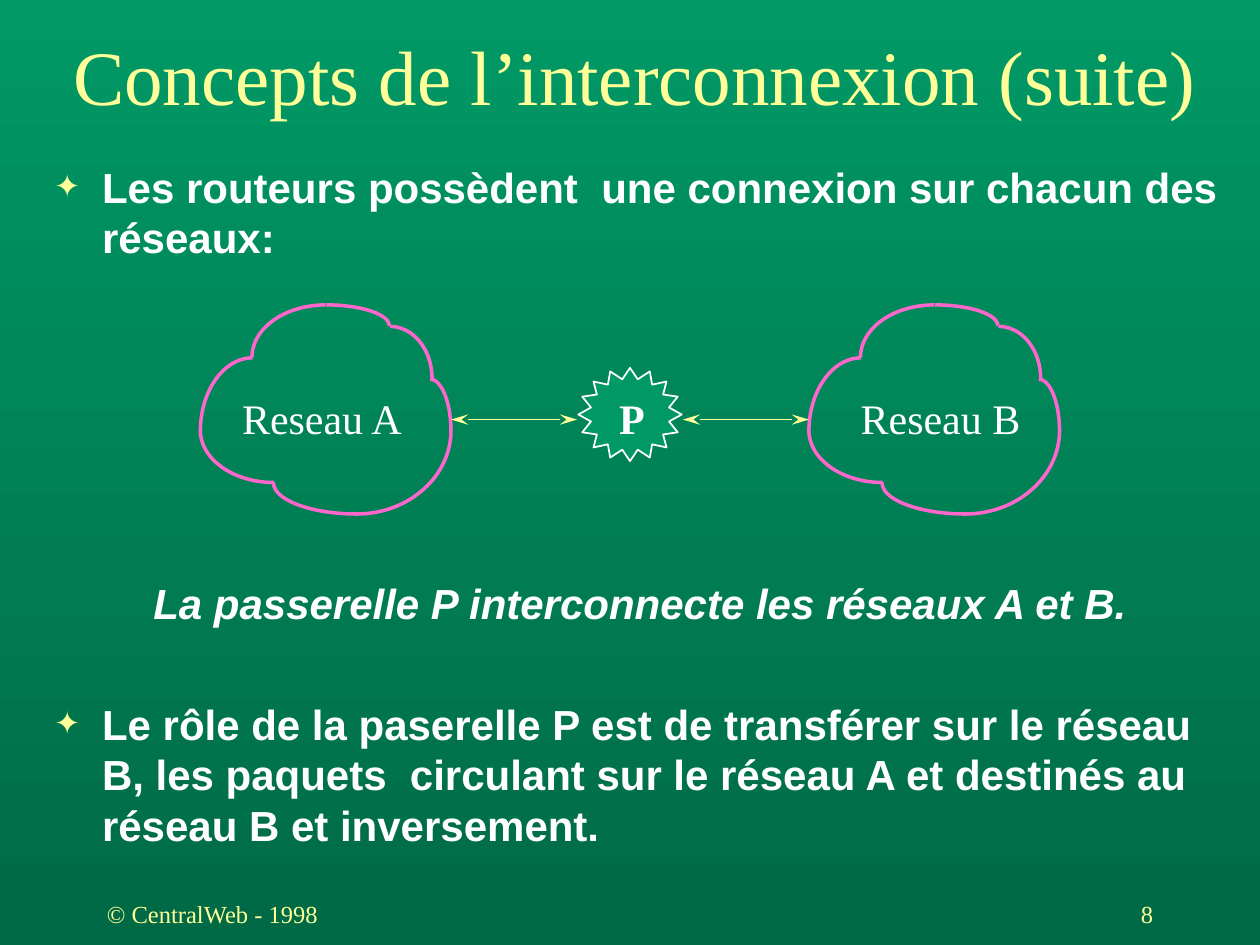
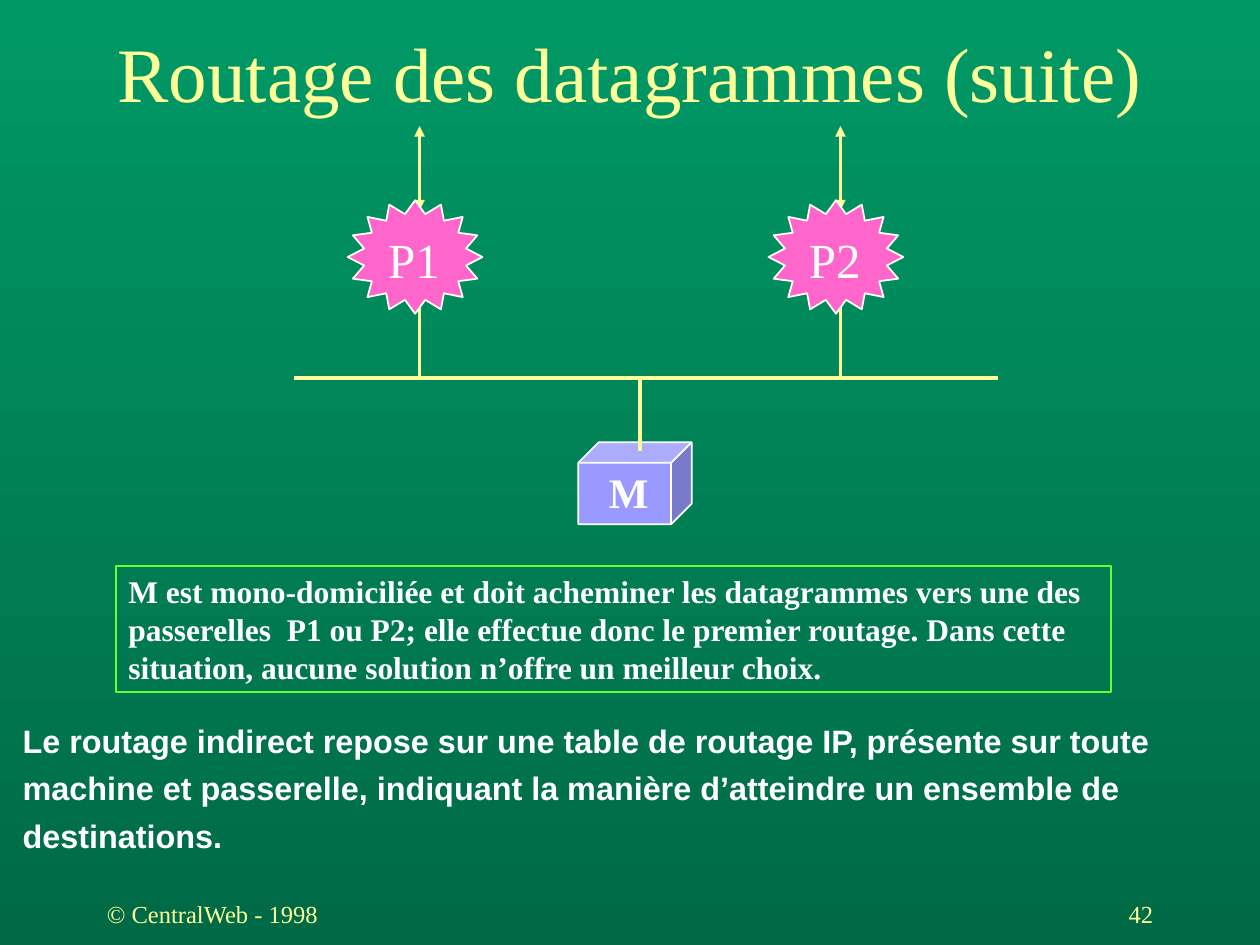
from lxml.etree import SubElement
from pptx import Presentation
from pptx.dml.color import RGBColor
from pptx.enum.shapes import MSO_CONNECTOR, MSO_SHAPE
from pptx.enum.text import MSO_ANCHOR, MSO_AUTO_SIZE, PP_ALIGN
from pptx.oxml.ns import qn
from pptx.util import Inches, Pt

COLORS = {
    "top": "009966",
    "bottom": "006A46",
    "yellow": "FFFF99",
    "white": "FFFFFF",
    "pink": "FF66CC",
    "lilac": "9999FF",
    "lime": "66FF33",
}
SERIF = "Times New Roman"
SANS = "Arial"
LINE_HEIGHT = 1.2
FOOTER = "© CentralWeb - 1998"

# Quarter ellipses of a cloud, relative to its left top corner:
# left, top, width and height of the ellipse, start angle in degrees.
CLOUD_ARCS = [
    (0.5, 0, 1, 0.33, 270),
    (1.17, 0.17, 0.67, 0.83, 270),
    (1.66, 0.59, 0.33, 0.83, 270),
    (0.41, 0, 1.17, 0.83, 180),
    (0, 0.42, 0.83, 1.17, 180),
    (0, 0.58, 1.17, 0.83, 90),
    (0.58, 1.16, 1.33, 0.5, 90),
    (0.49, 0.33, 1.5, 1.33, 0),
]
ADJUSTMENT_PER_DEGREE = 0.6


def color(name):
    return RGBColor.from_string(COLORS[name])


def format_paragraph(paragraph, size, color_name="white", font=SERIF, bold=False,
                     italic=False, align=PP_ALIGN.LEFT, space_before=0):
    paragraph.alignment = align
    paragraph.space_before = Pt(space_before)
    paragraph.line_spacing = Pt(round(size * LINE_HEIGHT, 1))
    for run in paragraph.runs:
        run.font.size = Pt(size)
        run.font.name = font
        run.font.bold = bold
        run.font.italic = italic
        run.font.color.rgb = color(color_name)


def set_bullet(paragraph, bulleted):
    """Set a hanging star bullet, or none at all."""
    properties = paragraph._p.get_or_add_pPr()
    indent = Inches(0.38) if bulleted else 0
    properties.set("marL", str(indent))
    properties.set("indent", str(-indent))
    if not bulleted:
        SubElement(properties, qn("a:buNone"))
        return
    bullet_color = SubElement(properties, qn("a:buClr"))
    SubElement(bullet_color, qn("a:srgbClr"), val=COLORS["yellow"])
    SubElement(properties, qn("a:buSzPct"), val="75000")
    SubElement(properties, qn("a:buChar"), char="✦")


def place(shape, left, top, width, height):
    shape.left, shape.top = Inches(left), Inches(top)
    shape.width, shape.height = Inches(width), Inches(height)


def add_figure(slide, preset, box, fill, line, line_width=1, adjustments=()):
    shape = slide.shapes.add_shape(preset, *(Inches(value) for value in box))
    for index, value in enumerate(adjustments):
        shape.adjustments[index] = value
    shape.shadow.inherit = False
    if fill:
        shape.fill.solid()
        shape.fill.fore_color.rgb = color(fill)
    else:
        shape.fill.background()
    shape.line.color.rgb = color(line)
    shape.line.width = Pt(line_width)
    return shape


def paint_background(presentation):
    fill = presentation.slide_master.background.fill
    fill.gradient()
    fill.gradient_angle = 270
    for stop, name in zip(fill.gradient_stops, ("top", "bottom")):
        stop.color.rgb = color(name)


def add_text(slide, text, left, top, width, height, size, wrap=True,
             anchor=MSO_ANCHOR.TOP, **formatting):
    box = slide.shapes.add_textbox(Inches(left), Inches(top), Inches(width), Inches(height))
    box.text_frame.word_wrap = wrap
    box.text_frame.vertical_anchor = anchor
    box.text_frame.text = text
    format_paragraph(box.text_frame.paragraphs[0], size, **formatting)


def add_label(slide, text, left, top, width, height=0.5, size=24, bold=False):
    add_text(slide, text, left, top, width, height, size, wrap=False,
             bold=bold, align=PP_ALIGN.CENTER)


def add_base_slide(presentation, title, title_box, number):
    slide = presentation.slides.add_slide(presentation.slide_layouts[1])
    heading = slide.shapes.title
    place(heading, *title_box)
    heading.text_frame.text = title
    heading.text_frame.auto_size = MSO_AUTO_SIZE.NONE
    heading.text_frame.vertical_anchor = MSO_ANCHOR.MIDDLE
    format_paragraph(heading.text_frame.paragraphs[0], 44, "yellow", align=PP_ALIGN.CENTER)
    for text, left, align in ((FOOTER, 0.75, PP_ALIGN.LEFT),
                              (number, 7.17, PP_ALIGN.RIGHT)):
        add_text(slide, text, left, 7, 2.08, 0.5, 14, anchor=MSO_ANCHOR.MIDDLE,
                 color_name="yellow", align=align)
    return slide


def fill_body(slide, box, size, items):
    """Fill the body with items of (text, bulleted, paragraph formatting)."""
    body = slide.placeholders[1]
    place(body, *box)
    frame = body.text_frame
    frame.auto_size = MSO_AUTO_SIZE.NONE
    frame.text = "\n".join(text for text, _, _ in items)
    for paragraph, (_, bulleted, formatting) in zip(frame.paragraphs, items):
        set_bullet(paragraph, bulleted)
        format_paragraph(paragraph, size, font=SANS, bold=True, **formatting)


def add_link(slide, start, end, width, arrowheads=None, head_length="med"):
    points = [Inches(value) for value in (*start, *end)]
    connector = slide.shapes.add_connector(MSO_CONNECTOR.STRAIGHT, *points)
    connector.line.color.rgb = color("yellow")
    connector.line.width = Pt(width)
    properties = connector.element.spPr
    if arrowheads:
        line = properties.find(qn("a:ln"))
        for end_tag in ("a:headEnd", "a:tailEnd"):
            SubElement(line, qn(end_tag), type=arrowheads, len=head_length)
    SubElement(properties, qn("a:effectLst"))


def add_gateway(slide, box, fill):
    add_figure(slide, MSO_SHAPE.STAR_16_POINT, box, fill, "white", adjustments=[0.385])


def add_cloud(slide, cloud_left, cloud_top):
    for left, top, width, height, start in CLOUD_ARCS:
        angles = (start, (start + 90) % 360)
        add_figure(slide, MSO_SHAPE.ARC, (cloud_left + left, cloud_top + top, width, height),
                   None, "pink", 2, [angle * ADJUSTMENT_PER_DEGREE for angle in angles])


def build_interconnection(presentation):
    slide = add_base_slide(presentation, "Concepts de l’interconnexion (suite)",
                           (0.08, 0.32, 9.92, 0.55), "8")
    fill_body(slide, (0.33, 1.23, 9.5, 5.69), 24, [
        ("Les routeurs possèdent  une connexion sur chacun des réseaux:", True, {}),
        ("La passerelle P interconnecte les réseaux A et B.", False,
         {"italic": True, "align": PP_ALIGN.CENTER, "space_before": 180}),
        ("Le rôle de la paserelle P est de transférer sur le réseau B, les paquets  "
         "circulant sur le réseau A et destinés au réseau B et inversement.", True,
         {"space_before": 40.5}),
    ])
    for left in (1.59, 6.42):
        add_cloud(slide, left, 2.42)
    add_gateway(slide, (4.59, 2.92, 0.82, 0.74), "top")
    for left in (3.58, 5.42):
        add_link(slide, (left, 3.33), (left + 1, 3.33), 1, "stealth", "lg")
    add_label(slide, "P", 4.81, 3.07, 0.41, bold=True)
    add_label(slide, "Reseau A", 1.81, 3.07, 1.49)
    add_label(slide, "Reseau B", 6.73, 3.07, 1.47)


def add_machine(slide):
    add_figure(slide, MSO_SHAPE.CUBE, (4.59, 3.51, 0.9, 0.65), "lilac", "white",
               adjustments=[0.25])
    add_link(slide, (5.08, 3), (5.08, 3.58), 2)
    add_label(slide, "M", 4.73, 3.65, 0.52, bold=True)


def add_framed_note(slide, text):
    note = add_figure(slide, MSO_SHAPE.RECTANGLE, (0.92, 4.49, 7.9, 1), None, "lime")
    note.text_frame.word_wrap = True
    note.text_frame.vertical_anchor = MSO_ANCHOR.TOP
    note.text_frame.text = text
    format_paragraph(note.text_frame.paragraphs[0], 18, bold=True)


def build_routing(presentation):
    slide = add_base_slide(presentation, "Routage des datagrammes (suite)",
                           (0, 0.22, 10, 0.69), "42")
    fill_body(slide, (0.08, 5.67, 9.92, 1.17), 18.5, [
        ("Le routage indirect repose sur une table de routage IP, présente sur toute",
         False, {}),
        ("machine et passerelle, indiquant la manière d’atteindre un ensemble de",
         False, {"space_before": 5}),
        ("destinations.", False, {"space_before": 5}),
    ])
    add_link(slide, (2.33, 3), (7.92, 3), 2)
    add_machine(slide)
    for name, x in (("P1", 3.33), ("P2", 6.67)):
        add_link(slide, (x, 2.42), (x, 3), 2)
        add_link(slide, (x, 1), (x, 1.67), 2, "triangle")
        add_gateway(slide, (x - 0.57, 1.59, 1.07, 0.9), "pink")
        add_label(slide, name, x - 0.35, 1.77, 0.61, 0.57, 28)
    add_framed_note(slide, "M est mono-domiciliée et doit acheminer les datagrammes vers "
                    "une des passerelles  P1 ou P2; elle effectue donc le premier routage. "
                    "Dans cette situation, aucune solution n’offre un meilleur choix.")


def main():
    presentation = Presentation()
    presentation.slide_width = Inches(10)
    presentation.slide_height = Inches(7.5)
    paint_background(presentation)
    build_interconnection(presentation)
    build_routing(presentation)
    presentation.save("out.pptx")


if __name__ == "__main__":
    main()
